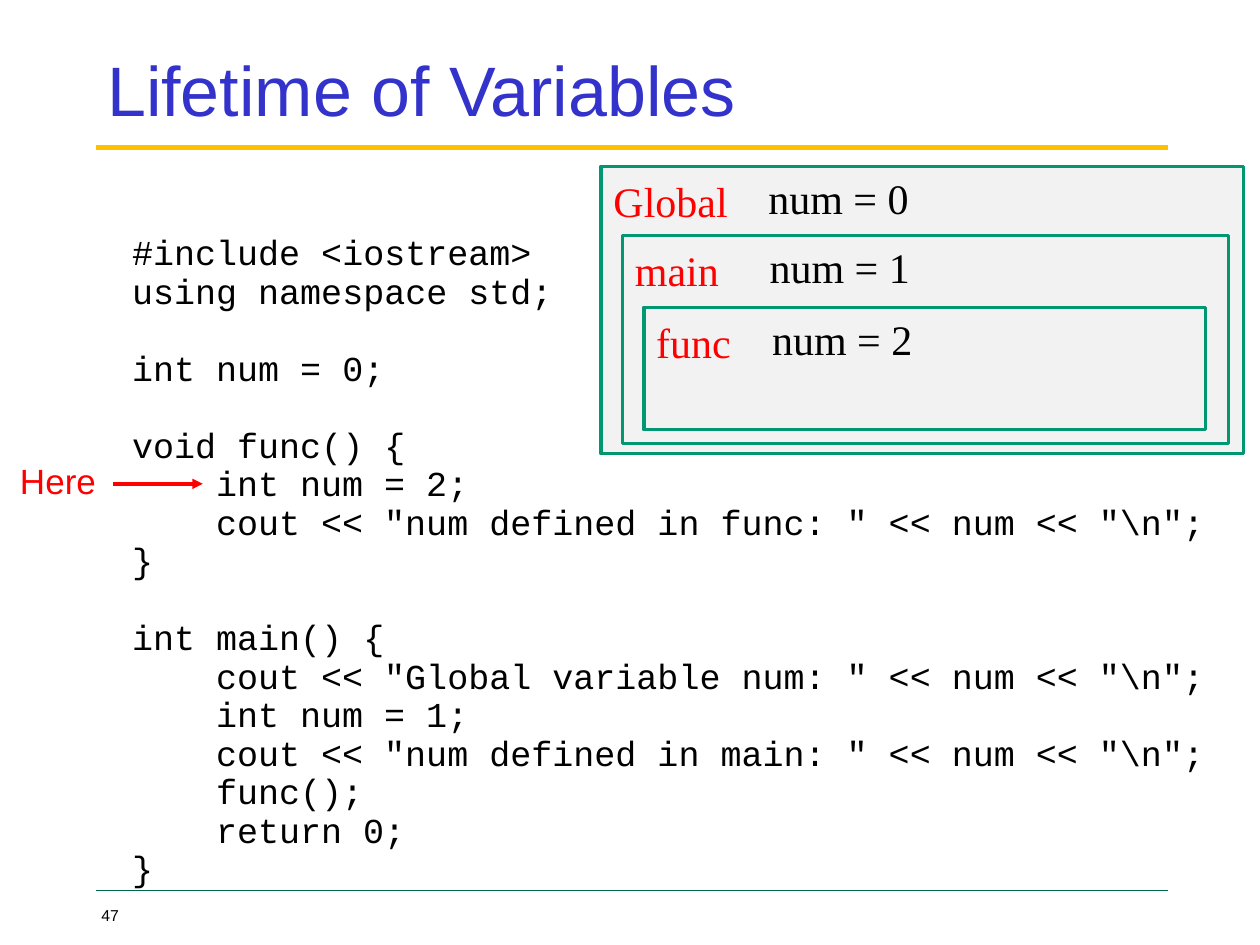
from dataclasses import dataclass

from lxml.etree import SubElement
from pptx import Presentation
from pptx.dml.color import RGBColor
from pptx.enum.shapes import MSO_CONNECTOR, MSO_SHAPE
from pptx.enum.text import MSO_ANCHOR, MSO_AUTO_SIZE, PP_ALIGN
from pptx.oxml.ns import qn
from pptx.util import Inches, Pt


@dataclass(frozen=True)
class Theme:
    """Colours, fonts and type sizes of the slide."""
    blue: str = "3333CC"
    gold: str = "FFC000"
    pine: str = "00664D"
    green: str = "009771"
    grey: str = "F2F2F2"
    red: str = "FF0000"
    black: str = "000000"
    sans: str = "Arial"
    serif: str = "Times New Roman"
    mono: str = "Courier New"
    head: int = 40
    scope: int = 24
    body: int = 20
    foot: int = 9
    lead: int = 22


THEME = Theme()
WIDTH, HEIGHT = Inches(10), Inches(7.5)
COLS, ROWS = 100, 75
TAB = Pt(48)

CODE = r'''#include <iostream>
using namespace std;

int num = 0;

void func() {
    int num = 2;
    cout << "num defined in func: " << num << "\n";
}

int main() {
    cout << "Global variable num: " << num << "\n";
    int num = 1;
    cout << "num defined in main: " << num << "\n";
    func();
    return 0;
}'''

SCOPES = [
    ("Global", "num = 0", 60, (47.7, 13.2, 51, 22.8)),
    ("main", "num = 1", 60.1, (49.4, 18.7, 48.1, 16.5)),
    ("func", "num = 2", 60.3, (51.1, 24.4, 44.6, 9.7)),
]


def grid(col, row):
    """Turn grid columns and rows into slide lengths."""
    return round(WIDTH * col / COLS), round(HEIGHT * row / ROWS)


def area(left, top, wide, high):
    """Turn a grid area into left, top, width and height."""
    return *grid(left, top), *grid(wide, high)


def write(para, text, size=THEME.body, font=THEME.sans, color=THEME.black,
          align=PP_ALIGN.LEFT):
    """Put formatted text into a paragraph."""
    para.alignment = align
    run = para.add_run()
    run.text = text
    run.font.size = Pt(size)
    run.font.name = font
    run.font.color.rgb = RGBColor.from_string(color)


def add_box(slide, place, wrap=True):
    """Add an empty text box and return its frame."""
    frame = slide.shapes.add_textbox(*area(*place)).text_frame
    frame.word_wrap = wrap
    return frame


def add_label(slide, place, text, wrap=True, **style):
    """Add a text box that holds one line."""
    frame = add_box(slide, place, wrap)
    write(frame.paragraphs[0], text, **style)
    return frame


def add_title(slide, text):
    """Place and format the title."""
    title = slide.shapes.title
    title.left, title.top, title.width, title.height = area(7.5, 3.3, 85, 7.5)
    frame = title.text_frame
    frame.auto_size = MSO_AUTO_SIZE.NONE
    frame.vertical_anchor = MSO_ANCHOR.MIDDLE
    write(frame.paragraphs[0], text, size=THEME.head, color=THEME.blue)


def add_line(slide, start, end, row, color, width, arrow=False):
    """Draw a level line, with an arrowhead if asked."""
    line = slide.shapes.add_connector(
        MSO_CONNECTOR.STRAIGHT, *grid(start, row), *grid(end, row))
    line.line.color.rgb = RGBColor.from_string(color)
    line.line.width = Pt(width)
    if arrow:
        SubElement(line.line._get_or_add_ln(), qn("a:tailEnd"), type="triangle")
    SubElement(line._element.spPr, qn("a:effectLst"))


def add_code(slide, place, code):
    """Set code with even leading, indents and gaps."""
    frame = add_box(slide, place)
    blocks = [block.split("\n") for block in code.split("\n\n")]
    lines = [(line, num > 0 and pos == 0)
             for num, block in enumerate(blocks)
             for pos, line in enumerate(block)]
    for num, (line, gap) in enumerate(lines):
        para = frame.add_paragraph() if num else frame.paragraphs[0]
        text = line.lstrip()
        para.line_spacing = Pt(THEME.lead)
        para.space_before = Pt(THEME.lead if gap else 0)
        if text != line:
            para._p.get_or_add_pPr().set("marL", str(TAB))
        write(para, text, font=THEME.mono)


def add_scope(slide, name, value, col, place):
    """Draw a scope frame with its name and variable."""
    frame = slide.shapes.add_shape(MSO_SHAPE.RECTANGLE, *area(*place))
    frame.shadow.inherit = False
    frame.fill.solid()
    frame.fill.fore_color.rgb = RGBColor.from_string(THEME.grey)
    frame.line.color.rgb = RGBColor.from_string(THEME.green)
    frame.line.width = Pt(2)
    left, top = place[:2]
    style = {"size": THEME.scope, "font": THEME.serif}
    add_label(slide, (left, top + 0.2, 25.5, 5), name, color=THEME.red, **style)
    add_label(slide, (col, top, 13.3, 5), value, wrap=False, **style)


def add_page(slide, text):
    """Add the page number."""
    frame = add_label(slide, (7.5, 71.7, 2.5, 1.7), text,
                      size=THEME.foot, align=PP_ALIGN.CENTER)
    frame.margin_left = frame.margin_right = 0
    frame.margin_top = frame.margin_bottom = 0
    frame.vertical_anchor = MSO_ANCHOR.BOTTOM


def main():
    """Build and save the slide."""
    deck = Presentation()
    deck.slide_width, deck.slide_height = WIDTH, HEIGHT
    slide = deck.slides.add_slide(deck.slide_layouts[5])
    add_line(slide, 7.6, 92.7, 11.7, THEME.gold, 3)
    add_line(slide, 7.6, 92.7, 70.7, THEME.pine, 0.75)
    add_title(slide, "Lifetime of Variables")
    add_page(slide, "47")
    add_label(slide, (0, 36, 9.2, 4.4), "Here", color=THEME.red,
              align=PP_ALIGN.CENTER)
    add_line(slide, 9, 16.1, 38.4, THEME.red, 2, arrow=True)
    add_code(slide, (9.5, 18.1, 89.3, 53.5), CODE)
    for scope in SCOPES:
        add_scope(slide, *scope)
    deck.save("out.pptx")


main()
